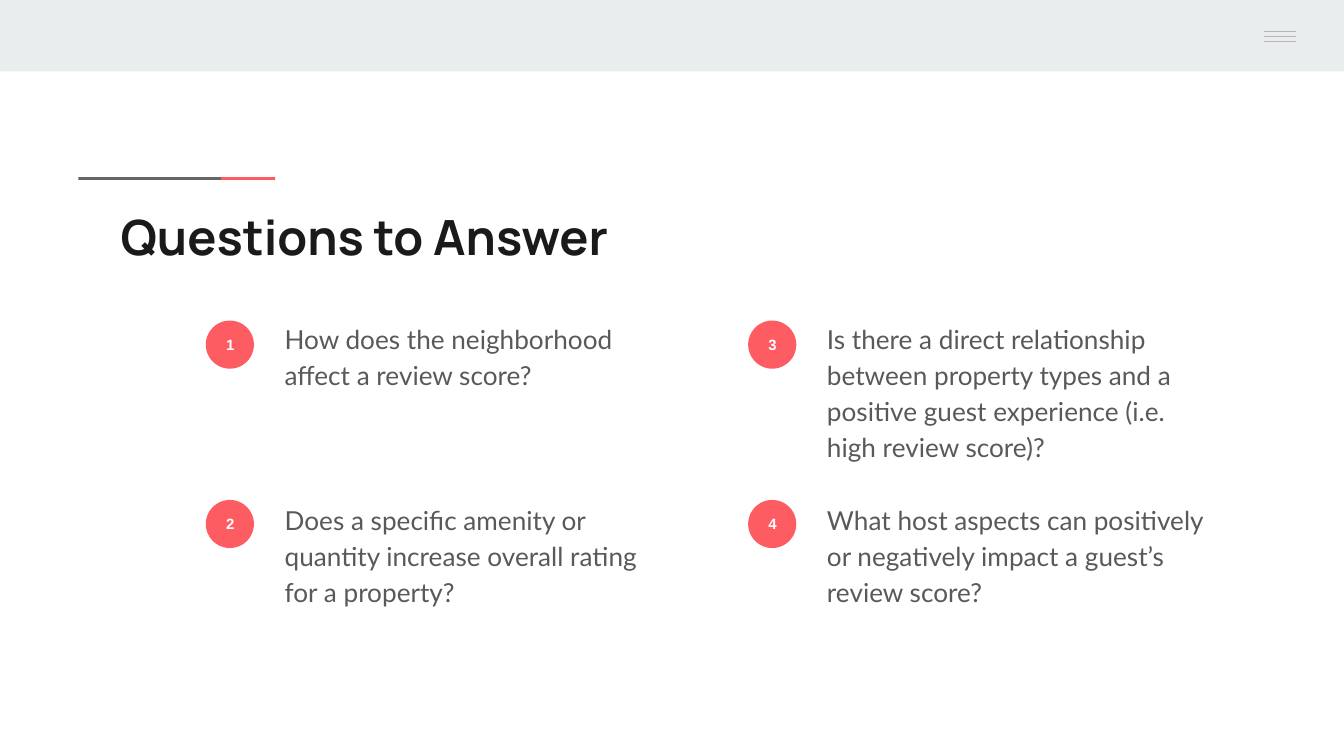
from lxml import etree
from pptx import Presentation
from pptx.dml.color import RGBColor
from pptx.enum.shapes import MSO_CONNECTOR, MSO_SHAPE
from pptx.enum.text import MSO_ANCHOR, PP_ALIGN
from pptx.oxml.ns import qn
from pptx.util import Cm, Pt

RECT, OVAL = MSO_SHAPE.RECTANGLE, MSO_SHAPE.OVAL
STRAIGHT = MSO_CONNECTOR.STRAIGHT
LEFT, CENTER = PP_ALIGN.LEFT, PP_ALIGN.CENTER
TOP, MIDDLE = MSO_ANCHOR.TOP, MSO_ANCHOR.MIDDLE

QUESTIONS = [
    "How does the neighborhood affect a review score?",
    "Does a specific amenity or quantity increase overall rating for a property?",
    "Is there a direct relationship between property types and a positive "
    "guest experience (i.e. high review score)?",
    "What host aspects can positively or negatively impact a guest’s review score?",
]


def rgb(value):
    return RGBColor.from_string(value)


def write(shape, text, font="Lato", size=14, color="595959", bold=False,
          align=LEFT, anchor=TOP, spacing=1.0):
    """Put one formatted paragraph into a shape with even insets."""
    tf = shape.text_frame
    tf.word_wrap = True
    tf.vertical_anchor = anchor
    tf.margin_left = tf.margin_right = tf.margin_top = tf.margin_bottom = Cm(0.25)
    p = tf.paragraphs[0]
    p.alignment = align
    p.line_spacing = spacing
    r = p.add_run()
    r.text = text
    r.font.name = font
    r.font.size = Pt(size)
    r.font.bold = bold
    r.font.color.rgb = rgb(color)


class Deck:
    """Holds the palette and the current slide; lengths are centimetres."""

    BAND, MENU, CORAL, GREY = "E9EDEE", "B7B7B7", "FD5C63", "666666"
    INK, WHITE = "1A1A1A", "FFFFFF"

    def __init__(self, width, height):
        self.prs = Presentation()
        self.prs.slide_width, self.prs.slide_height = Cm(width), Cm(height)
        self.s = self.prs.slides.add_slide(self.prs.slide_layouts[6])

    def shape(self, kind, x, y, w, h, fill):
        sp = self.s.shapes.add_shape(kind, Cm(x), Cm(y), Cm(w), Cm(h))
        sp.shadow.inherit = False
        sp.fill.solid()
        sp.fill.fore_color.rgb = rgb(fill)
        sp.line.fill.background()
        return sp

    def line(self, x1, y1, x2, y2, color, width):
        ln = self.s.shapes.add_connector(STRAIGHT, Cm(x1), Cm(y1), Cm(x2), Cm(y2))
        ln.line.color.rgb = rgb(color)
        ln.line.width = Pt(width)
        etree.SubElement(ln._element.spPr, qn("a:effectLst"))

    def text(self, x, y, w, h, text, **style):
        write(self.s.shapes.add_textbox(Cm(x), Cm(y), Cm(w), Cm(h)), text, **style)

    def badge(self, x, y, number):
        sp = self.shape(OVAL, x, y, 0.91, 0.91, self.CORAL)
        write(sp, str(number), font="Arial", size=8, color=self.WHITE,
              bold=True, align=CENTER, anchor=MIDDLE)


def main():
    deck = Deck(25.4, 14.29)

    deck.shape(RECT, 0, 0, 25.4, 1.35, deck.BAND)
    for i in range(3):
        y = 0.6 + i * 0.09
        deck.line(23.88, y, 24.49, y, deck.MENU, 0.75)

    deck.shape(RECT, 1.48, 3.35, 2.7, 0.05, deck.GREY)
    deck.shape(RECT, 4.18, 3.35, 1.02, 0.05, deck.CORAL)
    deck.text(2.03, 3.66, 21.36, 1.5, "Questions to Answer",
              font="Manrope", size=26, color=deck.INK, bold=True)

    for i, question in enumerate(QUESTIONS):
        col, row = divmod(i, 2)
        x = 3.89 + col * 10.25
        deck.badge(x, 6.06 + row * 3.39, i + 1)
        deck.text(x + 1.24, 5.77 + row * 3.42, 7.87, 2.92, question, spacing=1.15)

    deck.prs.save("out.pptx")


if __name__ == "__main__":
    main()
